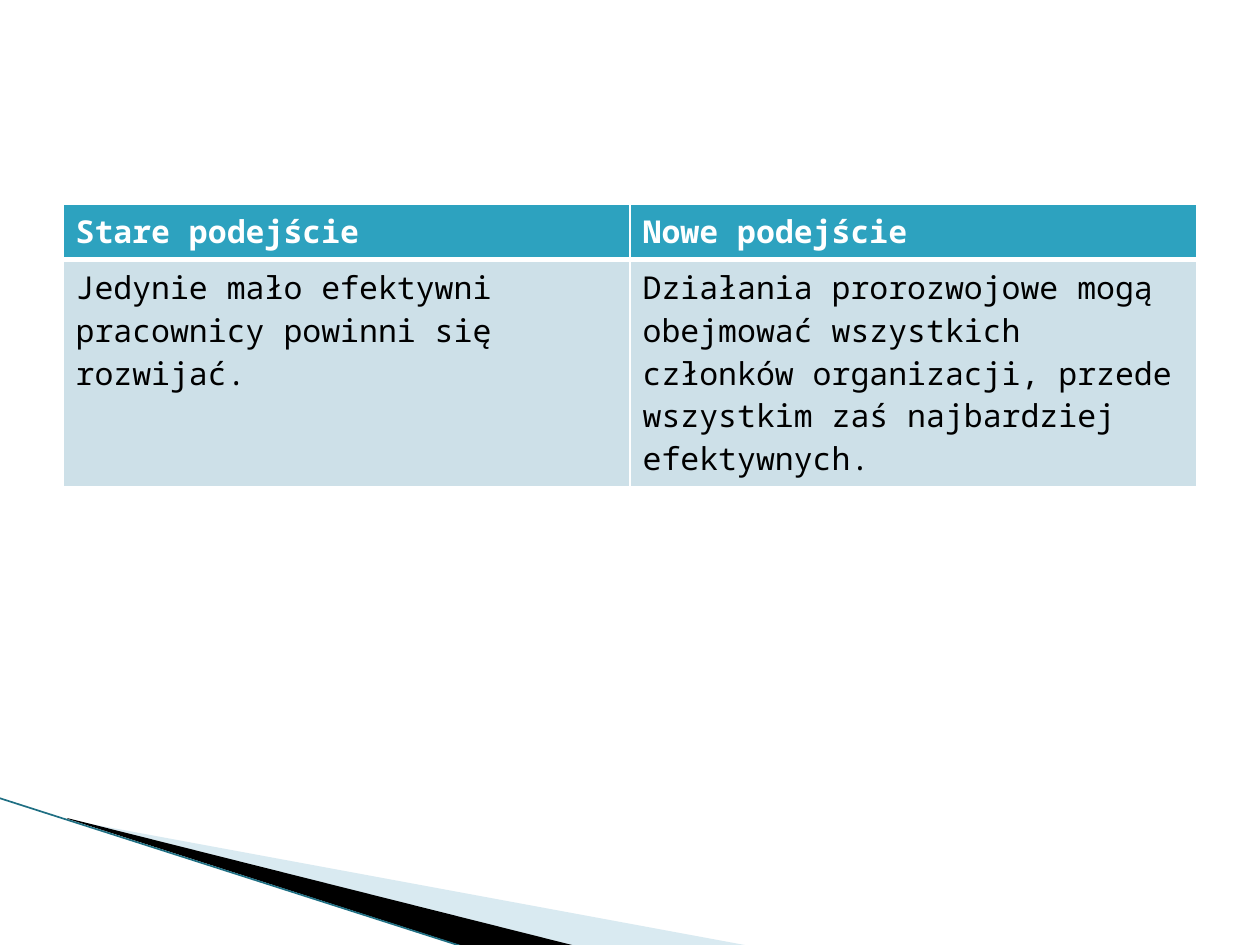
from dataclasses import dataclass

from lxml.etree import SubElement
from pptx import Presentation
from pptx.dml.color import RGBColor
from pptx.enum.shapes import MSO_CONNECTOR
from pptx.oxml.ns import qn
from pptx.util import Pt

EMU_PER_PX = 914400 / 126


@dataclass(frozen=True)
class Theme:
    font: str = "Noto Sans Mono"
    text_size: int = 18
    header_fill: str = "2DA2BF"
    header_text: str = "FFFFFF"
    body_fill: str = "CDE0E8"
    body_text: str = "000000"
    border: str = "FFFFFF"
    pale_wedge: str = "A0CBDC"
    dark_wedge: str = "000000"
    edge_line: str = "1F6F83"


def emu(px):
    return round(px * EMU_PER_PX)


def rgb(value):
    return RGBColor.from_string(value)


class SlideBuilder:
    def __init__(self, slide, theme):
        self.slide = slide
        self.theme = theme

    def wedge(self, points, color, opacity=100):
        start, *others = points
        builder = self.slide.shapes.build_freeform(*start, scale=EMU_PER_PX)
        builder.add_line_segments(others, close=True)
        shape = builder.convert_to_shape()
        shape.shadow.inherit = False
        shape.fill.solid()
        shape.fill.fore_color.rgb = rgb(color)
        shape.line.fill.background()
        if opacity < 100:
            color_node = shape.fill._xPr.find(qn("a:solidFill"))[0]
            SubElement(color_node, qn("a:alpha"), val=str(opacity * 1000))

    def line(self, start, end, color, width):
        connector = self.slide.shapes.add_connector(
            MSO_CONNECTOR.STRAIGHT, *map(emu, start + end))
        connector.line.color.rgb = rgb(color)
        connector.line.width = Pt(width)
        SubElement(connector._element.spPr, qn("a:effectLst"))

    def borders(self, cell, widths):
        properties = cell._tc.get_or_add_tcPr()
        for side, width in zip("LRTB", widths):
            border = SubElement(properties, qn(f"a:ln{side}"), w=str(Pt(width)))
            fill = SubElement(border, qn("a:solidFill"))
            SubElement(fill, qn("a:srgbClr"), val=self.theme.border)

    def cell(self, cell, text, is_header):
        theme = self.theme
        self.borders(cell, (1, 1, 1, 3) if is_header else (1, 1, 3, 1))
        cell.fill.solid()
        cell.fill.fore_color.rgb = rgb(
            theme.header_fill if is_header else theme.body_fill)
        cell.text_frame.text = text
        font = cell.text_frame.paragraphs[0].runs[0].font
        font.name = theme.font
        font.size = Pt(theme.text_size)
        font.bold = is_header
        font.color.rgb = rgb(theme.header_text if is_header else theme.body_text)

    def table(self, left, top, width, height, row_height, rows):
        frame = self.slide.shapes.add_table(
            len(rows), len(rows[0]), emu(left), emu(top), emu(width),
            emu(row_height * len(rows)))
        frame.height = emu(height)
        frame.table.horz_banding = False
        for row_index, texts in enumerate(rows):
            for column_index, text in enumerate(texts):
                self.cell(frame.table.cell(row_index, column_index), text,
                          row_index == 0)


def main():
    deck = Presentation()
    deck.slide_width, deck.slide_height = emu(1260), emu(945)
    theme = Theme()
    page = SlideBuilder(deck.slides.add_slide(deck.slide_layouts[6]), theme)

    page.wedge([(69, 820), (750, 946), (575, 946), (69, 819)],
               theme.pale_wedge, opacity=40)
    page.wedge([(67, 818), (576, 946), (469, 948), (68, 819)], theme.dark_wedge)
    page.line((-1, 798), (467, 948), theme.edge_line, 0.95)
    page.table(63, 204, 1134, 215, 52, [
        ("Stare podejście", "Nowe podejście"),
        ("Jedynie mało efektywni pracownicy powinni się rozwijać.",
         "Działania prorozwojowe mogą obejmować wszystkich członków "
         "organizacji, przede wszystkim zaś najbardziej efektywnych."),
    ])
    deck.save("out.pptx")


if __name__ == "__main__":
    main()
